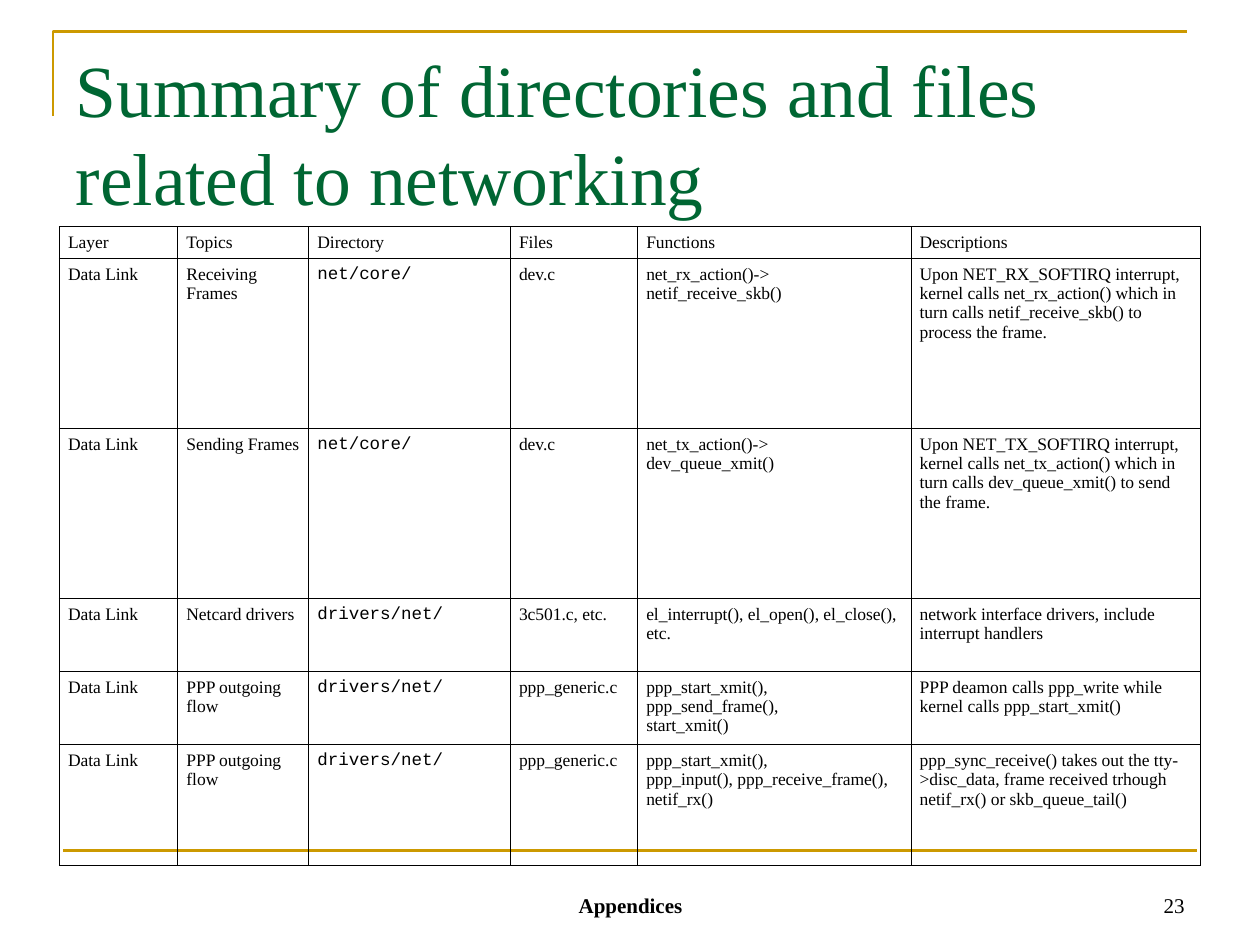
import pptx
import pptx.dml.color
import pptx.enum.shapes
import pptx.enum.text
import pptx.oxml
import pptx.oxml.ns
import pptx.util
from pptx.util import Inches

TITLE = "Summary of directories and files related to networking"
HEADINGS = ["Layer", "Topics", "Directory", "Files", "Functions", "Descriptions"]
ENTRIES = [
    ["Data Link", "Receiving Frames", "net/core/", "dev.c",
     "net_rx_action()->\nnetif_receive_skb()",
     "Upon NET_RX_SOFTIRQ interrupt, kernel calls net_rx_action() which in turn "
     "calls netif_receive_skb() to process the frame."],
    ["Data Link", "Sending Frames", "net/core/", "dev.c",
     "net_tx_action()->\ndev_queue_xmit()",
     "Upon NET_TX_SOFTIRQ interrupt, kernel calls net_tx_action() which in turn "
     "calls dev_queue_xmit() to send the frame."],
    ["Data Link", "Netcard drivers", "drivers/net/", "3c501.c, etc.",
     "el_interrupt(), el_open(), el_close(), etc.",
     "network interface drivers, include interrupt handlers"],
    ["Data Link", "PPP outgoing flow", "drivers/net/", "ppp_generic.c",
     "ppp_start_xmit(),\nppp_send_frame(),\nstart_xmit()",
     "PPP deamon calls ppp_write while kernel calls ppp_start_xmit()"],
    ["Data Link", "PPP outgoing flow", "drivers/net/", "ppp_generic.c",
     "ppp_start_xmit(),\nppp_input(), ppp_receive_frame(),\nnetif_rx()",
     "ppp_sync_receive() takes out the tty->disc_data, frame received trhough "
     "netif_rx() or skb_queue_tail()"],
]
COLUMN_WIDTHS = [0.94, 1.04, 1.6, 1.01, 2.17, 2.3]
ROW_HEIGHTS = [0.25, 1.35, 1.35, 0.58, 0.58, 0.96]
DIRECTORY_COLUMN = HEADINGS.index("Directory")

SERIF = "Times New Roman"
MONO = "Courier New"
GOLD = pptx.dml.color.RGBColor(0xCC, 0x99, 0x00)
GREEN = pptx.dml.color.RGBColor(0x00, 0x66, 0x33)
BLACK = pptx.dml.color.RGBColor(0, 0, 0)
ALIGN = pptx.enum.text.PP_ALIGN
ANCHOR = pptx.enum.text.MSO_ANCHOR


def style(paragraph, size, color=BLACK, name=SERIF, align=ALIGN.LEFT, bold=False):
    paragraph.alignment = align
    font = paragraph.font
    font.size = pptx.util.Pt(size)
    font.name = name
    font.bold = bold
    font.color.rgb = color


def add_border(cell):
    properties = cell._tc.get_or_add_tcPr()
    for position, side in enumerate(("lnL", "lnR", "lnT", "lnB")):
        properties.insert(position, pptx.oxml.parse_xml(
            f'<a:{side} {pptx.oxml.ns.nsdecls("a")} w="{pptx.util.Pt(0.45)}">'
            f'<a:solidFill><a:srgbClr val="{BLACK}"/></a:solidFill></a:{side}>'))


def add_footer(slide, text, left, width, align, bold=False):
    box = slide.shapes.add_textbox(Inches(left), Inches(6.83), Inches(width), Inches(0.5))
    frame = box.text_frame
    frame.word_wrap = True
    frame.vertical_anchor = ANCHOR.BOTTOM
    frame.text = text
    style(frame.paragraphs[0], 12, align=align, bold=bold)


def add_rules(slide):
    outline = slide.shapes.build_freeform(Inches(0.42), Inches(0.92))
    outline.add_line_segments([(Inches(0.42), Inches(0.25)),
                               (Inches(9.42), Inches(0.25))], close=False)
    corner = outline.convert_to_shape()
    corner.shadow.inherit = False
    corner.fill.background()
    footer_rule = slide.shapes.add_connector(
        pptx.enum.shapes.MSO_CONNECTOR.STRAIGHT,
        Inches(0.5), Inches(6.75), Inches(9.5), Inches(6.75))
    footer_rule._element.spPr.append(pptx.oxml.parse_xml(
        f'<a:effectLst {pptx.oxml.ns.nsdecls("a")}/>'))
    for rule in (corner, footer_rule):
        rule.line.color.rgb = GOLD
        rule.line.width = pptx.util.Pt(1.5)


def add_title(slide):
    title = slide.shapes.title
    title.left, title.top = Inches(0.5), Inches(0.3)
    title.width, title.height = Inches(9), Inches(1.25)
    frame = title.text_frame
    frame.text = TITLE
    frame.word_wrap = True
    frame.auto_size = pptx.enum.text.MSO_AUTO_SIZE.NONE
    frame.vertical_anchor = ANCHOR.TOP
    style(frame.paragraphs[0], 42, GREEN)


def add_directory_table(slide):
    rows = [HEADINGS] + ENTRIES
    table = slide.shapes.add_table(
        len(rows), len(HEADINGS), Inches(0.47), Inches(1.8),
        Inches(sum(COLUMN_WIDTHS)), Inches(sum(ROW_HEIGHTS))).table
    table.first_row = table.horz_banding = False
    for column, width in zip(table.columns, COLUMN_WIDTHS):
        column.width = Inches(width)
    for row, height in zip(table.rows, ROW_HEIGHTS):
        row.height = Inches(height)
    for r, texts in enumerate(rows):
        for c, text in enumerate(texts):
            cell = table.cell(r, c)
            cell.text = text
            cell.fill.background()
            cell.margin_left = cell.margin_right = Inches(0.07)
            cell.margin_top = Inches(0.05)
            cell.margin_bottom = Inches(0.03)
            add_border(cell)
            name = MONO if r > 0 and c == DIRECTORY_COLUMN else SERIF
            align = ALIGN.JUSTIFY if r == 0 else ALIGN.LEFT
            for paragraph in cell.text_frame.paragraphs:
                style(paragraph, 10, name=name, align=align)


def main():
    presentation = pptx.Presentation()
    presentation.slide_width, presentation.slide_height = Inches(10), Inches(7.5)
    slide = presentation.slides.add_slide(presentation.slide_layouts[5])
    add_rules(slide)
    add_title(slide)
    add_footer(slide, "Appendices", 3.42, 3.17, ALIGN.CENTER, bold=True)
    add_footer(slide, "23", 7.17, 2.33, ALIGN.RIGHT)
    add_directory_table(slide)
    presentation.save("out.pptx")


if __name__ == "__main__":
    main()
